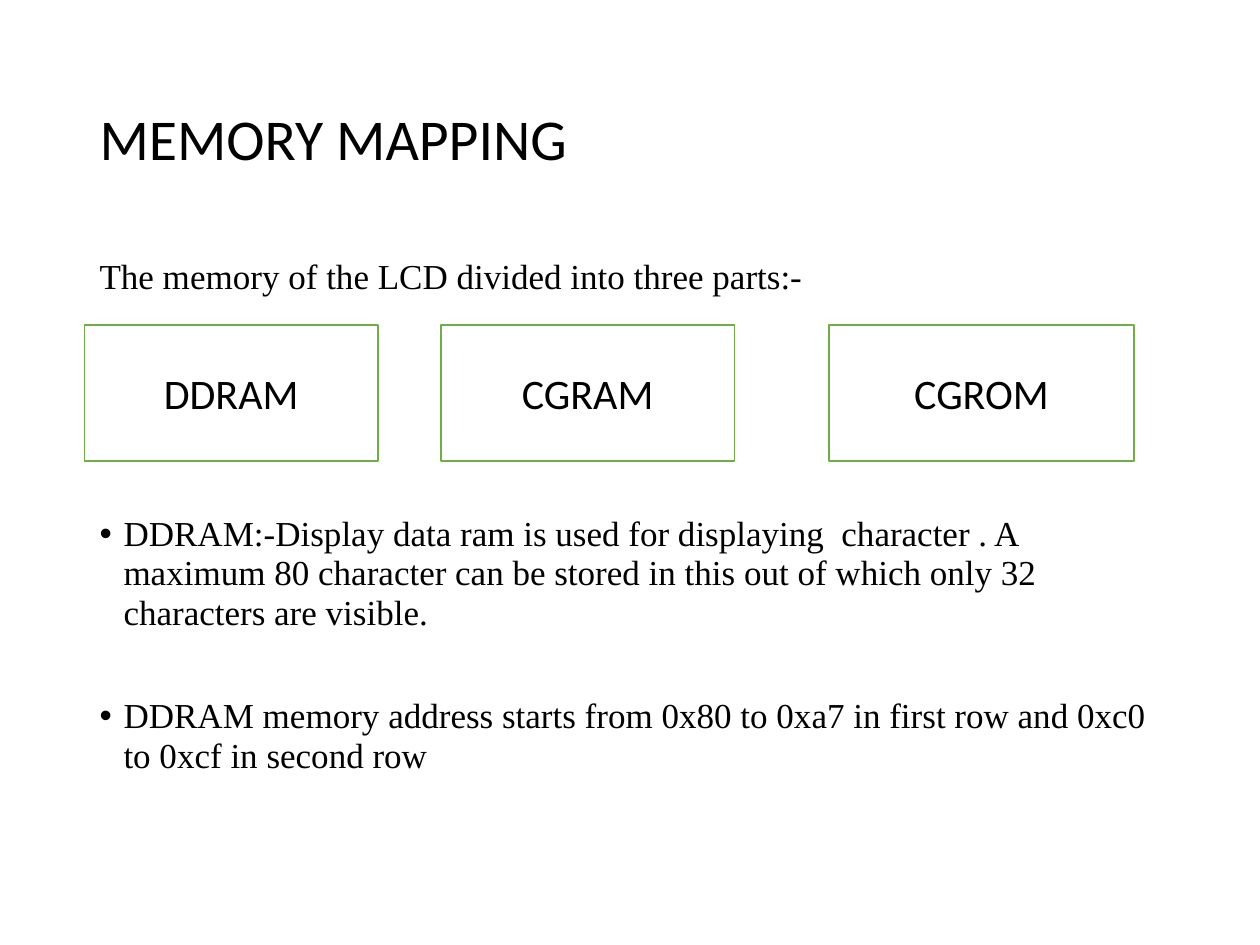
from dataclasses import dataclass

from lxml.etree import SubElement
from pptx import Presentation
from pptx.dml.color import RGBColor
from pptx.enum.shapes import MSO_SHAPE
from pptx.enum.text import MSO_ANCHOR, MSO_AUTO_SIZE, PP_ALIGN
from pptx.oxml.ns import qn
from pptx.util import Inches, Pt

BLACK = RGBColor(0x00, 0x00, 0x00)
WHITE = RGBColor(0xFF, 0xFF, 0xFF)
GREEN = RGBColor(0x70, 0xAD, 0x47)
HEADING_FONT = "Calibri"
BODY_FONT = "Times New Roman"
BOX_TOP, BOX_HEIGHT = 2.58, 1.08
HANGING_INDENT = 0.19


@dataclass
class MemoryBox:
    label: str
    left: float
    width: float


@dataclass
class BodyLine:
    text: str
    space_before: float
    bulleted: bool = True


MEMORY_BOXES = [
    MemoryBox("DDRAM", 0.67, 2.33),
    MemoryBox("CGRAM", 3.5, 2.33),
    MemoryBox("CGROM", 6.58, 2.42),
]

BODY_LINES = [
    BodyLine("The memory of the LCD divided into three parts:-", 7.5, bulleted=False),
    BodyLine(
        "DDRAM:-Display data ram is used for displaying  character . A maximum 80 "
        "character can be stored in this out of which only 32 characters are visible.",
        124,
    ),
    BodyLine(
        "DDRAM memory address starts from 0x80 to 0xa7 in first row "
        "and 0xc0 to 0xcf in second row",
        36.6,
    ),
]


def place(shape, left: float, top: float, width: float, height: float) -> None:
    shape.left, shape.top = Inches(left), Inches(top)
    shape.width, shape.height = Inches(width), Inches(height)


def set_font(paragraph, name: str, size: float) -> None:
    paragraph.font.name = name
    paragraph.font.size = Pt(size)
    paragraph.font.color.rgb = BLACK


def set_bullet(paragraph, bulleted: bool) -> None:
    """Give the paragraph a hanging indent, with or without a bullet."""
    properties = paragraph._p.get_or_add_pPr()
    properties.set("marL", str(Inches(HANGING_INDENT)))
    properties.set("indent", str(-Inches(HANGING_INDENT)))
    if bulleted:
        SubElement(properties, qn("a:buFont"), typeface="Arial")
        SubElement(properties, qn("a:buChar"), char="•")
    else:
        SubElement(properties, qn("a:buNone"))


def fill_title(title) -> None:
    place(title, 0.69, 0.4, 8.62, 1.45)
    frame = title.text_frame
    frame.text = "MEMORY MAPPING"
    frame.auto_size = MSO_AUTO_SIZE.NONE
    frame.vertical_anchor = MSO_ANCHOR.MIDDLE
    paragraph = frame.paragraphs[0]
    paragraph.alignment = PP_ALIGN.LEFT
    paragraph.line_spacing = 0.9
    set_font(paragraph, HEADING_FONT, 33)


def fill_body(body, lines: list[BodyLine]) -> None:
    place(body, 0.69, 2, 8.62, 4.76)
    frame = body.text_frame
    frame.text = "\n".join(line.text for line in lines)
    frame.auto_size = MSO_AUTO_SIZE.NONE
    for paragraph, line in zip(frame.paragraphs, lines):
        paragraph.line_spacing = 0.94
        paragraph.space_before = Pt(line.space_before)
        set_bullet(paragraph, line.bulleted)
        set_font(paragraph, BODY_FONT, 20)


def draw_memory_box(slide, box: MemoryBox) -> None:
    shape = slide.shapes.add_shape(
        MSO_SHAPE.RECTANGLE,
        Inches(box.left), Inches(BOX_TOP), Inches(box.width), Inches(BOX_HEIGHT),
    )
    shape.shadow.inherit = False
    shape.fill.solid()
    shape.fill.fore_color.rgb = WHITE
    shape.line.color.rgb = GREEN
    shape.line.width = Pt(1)
    frame = shape.text_frame
    frame.text = box.label
    frame.vertical_anchor = MSO_ANCHOR.MIDDLE
    paragraph = frame.paragraphs[0]
    paragraph.alignment = PP_ALIGN.CENTER
    set_font(paragraph, HEADING_FONT, 24)


def main() -> None:
    presentation = Presentation()
    presentation.slide_width = Inches(10)
    presentation.slide_height = Inches(7.5)
    slide = presentation.slides.add_slide(presentation.slide_layouts[1])
    fill_title(slide.shapes.title)
    fill_body(slide.placeholders[1], BODY_LINES)
    for box in MEMORY_BOXES:
        draw_memory_box(slide, box)
    presentation.save("out.pptx")


if __name__ == "__main__":
    main()
